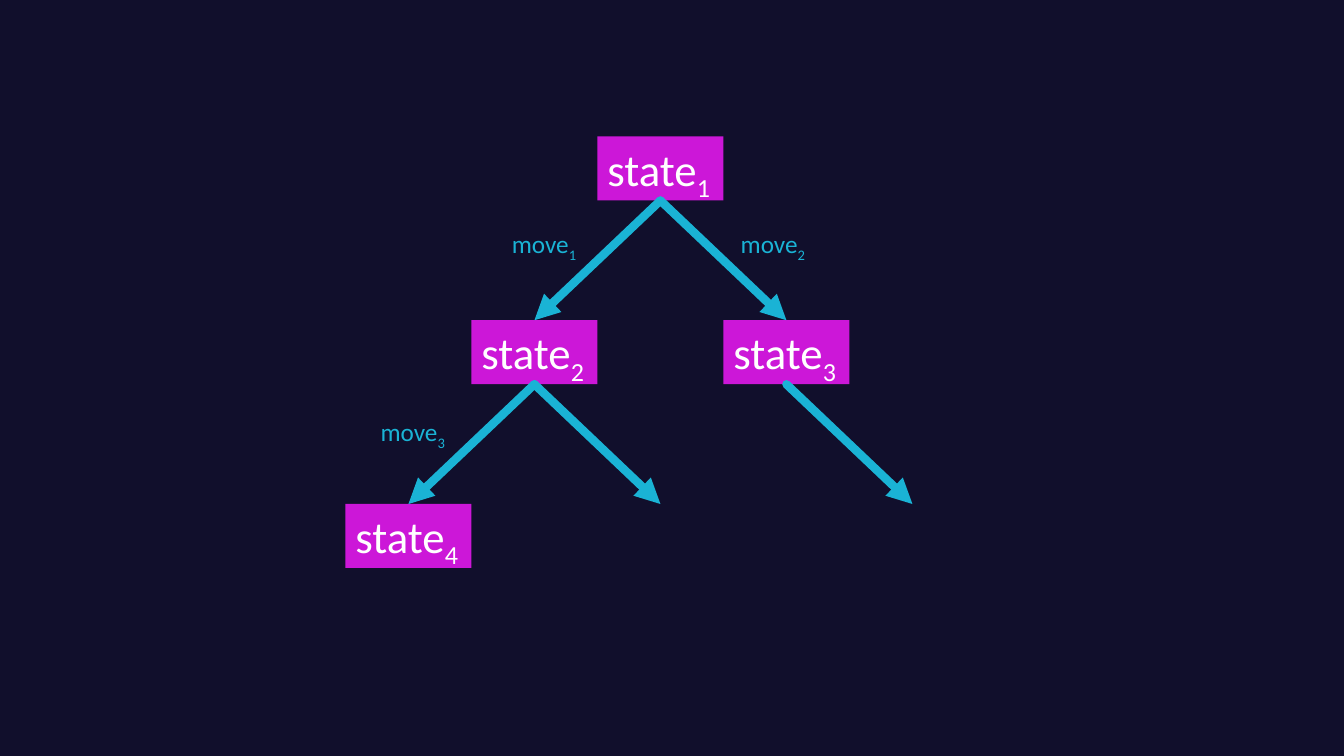
from dataclasses import dataclass

from lxml import etree
from pptx import Presentation
from pptx import util as u
from pptx.dml.color import RGBColor
from pptx.enum import shapes, text
from pptx.oxml.ns import qn


@dataclass(frozen=True)
class Theme:
    background: RGBColor = RGBColor(0x11, 0x0F, 0x2C)
    state_fill: RGBColor = RGBColor(0xCC, 0x17, 0xD8)
    state_text: RGBColor = RGBColor(0xFF, 0xFF, 0xFF)
    move: RGBColor = RGBColor(0x1A, 0xB3, 0xD5)
    font: str = "Calibri"
    state_size: int = 32
    move_size: int = 18
    arrow_width: int = 6


THEME = Theme()
EMU_PER_PX = 9525
SLIDE_SIZE = (1280, 720)
STATE_SIZE = (120, 61)
MOVE_SIZE = (82, 38)
ROOT_CENTER, ROOT_TOP = 629, 130
COLUMN_STEP, LEVEL_STEP = 120, 175

STATES = [("1", 0, 0), ("2", -1, 1), ("3", 1, 1), ("4", -2, 2)]
BRANCHES = [(0, 0, -1), (0, 0, 1), (-1, 1, -2), (-1, 1, 0), (1, 1, 2)]
MOVES = [("2", 696, 213), ("1", 478, 213), ("3", 353, 392)]


def px(*lengths):
    return [u.Emu(length * EMU_PER_PX) for length in lengths]


def node_top_center(column, level):
    return ROOT_CENTER + column * COLUMN_STEP, ROOT_TOP + level * LEVEL_STEP


def write_indexed(frame, word, index, size, color):
    frame.word_wrap = False
    frame.auto_size = text.MSO_AUTO_SIZE.SHAPE_TO_FIT_TEXT
    frame.vertical_anchor = text.MSO_ANCHOR.TOP
    line = frame.paragraphs[0]
    line.alignment = text.PP_ALIGN.LEFT
    for part in (word, index):
        run = line.add_run()
        run.text = part
        run.font.name = THEME.font
        run.font.size = u.Pt(size)
        run.font.color.rgb = color
    run.font._element.set("baseline", "-25000")


def add_state(slide, index, column, level):
    center, top = node_top_center(column, level)
    state = slide.shapes.add_shape(
        shapes.MSO_SHAPE.RECTANGLE, *px(center - STATE_SIZE[0] // 2, top, *STATE_SIZE)
    )
    state.shadow.inherit = False
    state.fill.solid()
    state.fill.fore_color.rgb = THEME.state_fill
    state.line.fill.background()
    write_indexed(state.text_frame, "state", index, THEME.state_size, THEME.state_text)


def add_branch(slide, column, level, child_column):
    start_x, start_y = node_top_center(column, level)
    end = node_top_center(child_column, level + 1)
    branch = slide.shapes.add_connector(
        shapes.MSO_CONNECTOR.STRAIGHT, *px(start_x, start_y + STATE_SIZE[1], *end)
    )
    branch.line.color.rgb = THEME.move
    branch.line.width = u.Pt(THEME.arrow_width)
    outline = branch.line._get_or_add_ln()
    outline.set("cap", "rnd")
    etree.SubElement(outline, qn("a:tailEnd"), type="triangle")
    etree.SubElement(branch._element.spPr, qn("a:effectLst"))


def add_move(slide, index, left, top):
    move = slide.shapes.add_textbox(*px(left, top, *MOVE_SIZE))
    write_indexed(move.text_frame, "move", index, THEME.move_size, THEME.move)


def main():
    deck = Presentation()
    deck.slide_width, deck.slide_height = px(*SLIDE_SIZE)
    slide = deck.slides.add_slide(deck.slide_layouts[6])
    slide.background.fill.solid()
    slide.background.fill.fore_color.rgb = THEME.background
    for state in STATES:
        add_state(slide, *state)
    for branch in BRANCHES:
        add_branch(slide, *branch)
    for move in MOVES:
        add_move(slide, *move)
    deck.save("out.pptx")


if __name__ == "__main__":
    main()
